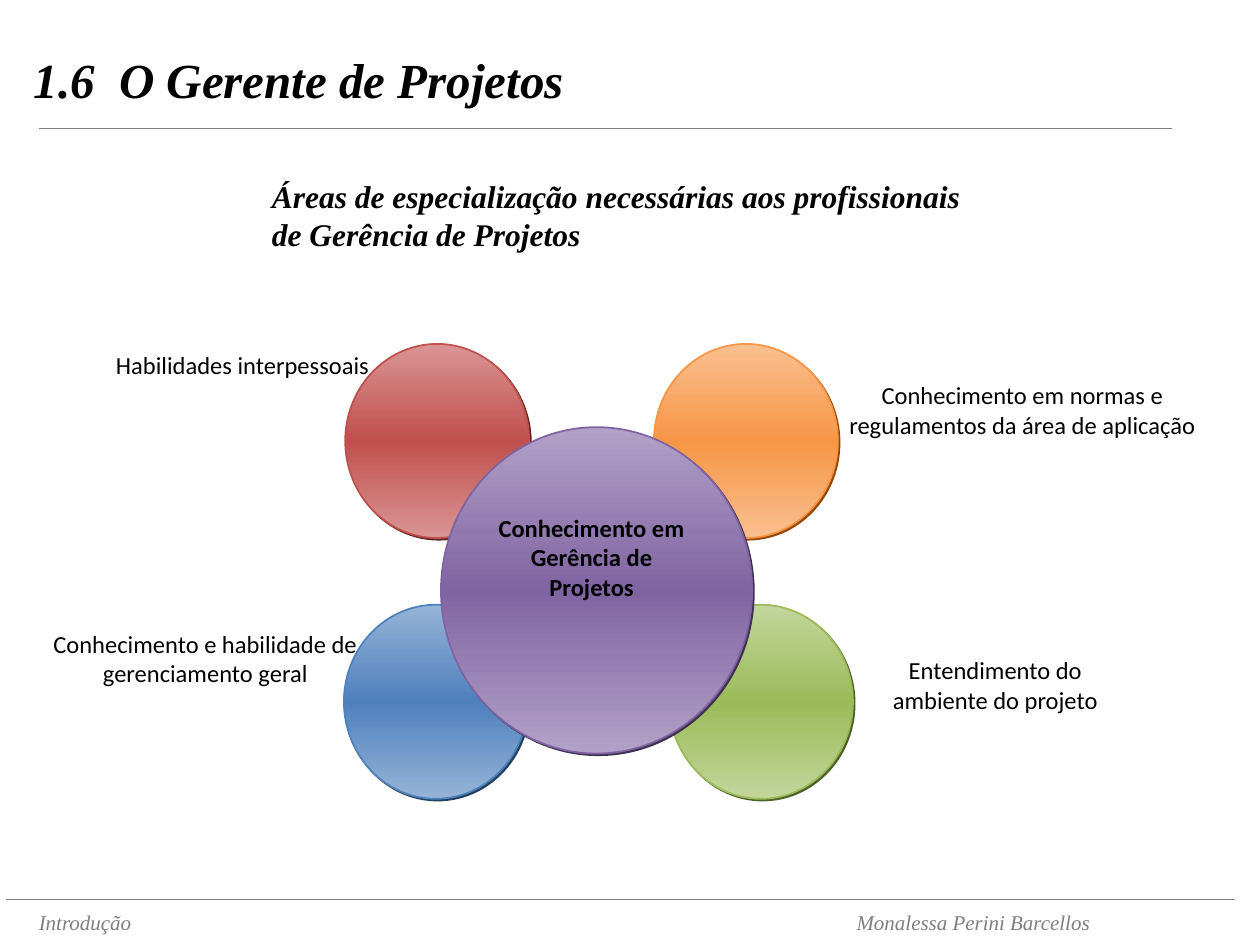
from copy import deepcopy

from lxml import etree
from pptx import Presentation
from pptx.dml.color import RGBColor
from pptx.enum import shapes, text
from pptx.oxml import ns
from pptx.util import Emu, Pt

THEME = dict(
    ink="000000", grey="7F7F7F", serif="Times New Roman", sans="Calibri",
    title=28, sub=18, label=14, foot=12,
    # edge, middle and shadow colour of each circle
    red=("D99594", "C0504D", "622423"),
    blue=("95B3D7", "4F81BD", "243F60"),
    green=("C2D69B", "9BBB59", "4E6128"),
    orange=("FABF8F", "F79646", "974706"),
    purple=("B2A1C7", "8064A2", "3F3151"),
)

deck = Presentation()
deck.slide_width, deck.slide_height = Emu(9144000), Emu(6858000)
# The grid has 100 columns and 75 rows.
COL, ROW = deck.slide_width / 100, deck.slide_height / 75
slide = deck.slides.add_slide(deck.slide_layouts[5])
items = slide.shapes


def grid(x, y, w, h):
    """Turn columns and rows into slide lengths."""
    return [Emu(round(n * step)) for n, step in zip((x, y, w, h), (COL, ROW) * 2)]


def write(box, words, size, face, color="ink", align=text.PP_ALIGN.LEFT, **style):
    """Fill a text shape with one paragraph for each line of words."""
    frame = box.text_frame
    frame.word_wrap = True
    frame.auto_size = text.MSO_AUTO_SIZE.NONE
    frame.text = words
    look = dict(size=Pt(THEME[size]), name=THEME[face], bold=False, italic=False) | style
    for para in frame.paragraphs:
        para.alignment = align
        for key, val in look.items():
            setattr(para.font, key, val)
        para.font.color.rgb = RGBColor.from_string(THEME[color])


# Title
title = items.title
title.left, title.top, title.width, title.height = grid(0, 0, 98.2, 12.5)
write(title, "1.6  O Gerente de Projetos", "title", "serif", bold=True, italic=True)
title.text_frame.margin_left = Emu(round(2.67 * COL))
title.text_frame.vertical_anchor = text.MSO_ANCHOR.MIDDLE

# Rules under the title and above the footer
for left, right, row, width in ((3.1, 93, 10.2, 1), (0.5, 98, 71.4, 0.75)):
    x, y, end, _ = grid(left, row, right, 0)
    rule = items.add_connector(shapes.MSO_CONNECTOR.STRAIGHT, x, y, end, y)
    rule.line.width = Pt(width)
    rule.line.color.rgb = RGBColor.from_string(THEME["grey"])
    etree.SubElement(rule._element.spPr, ns.qn("a:effectLst"))

# Footer
for left, words in ((2.1, "Introdução"), (67, "Monalessa Perini Barcellos")):
    write(items.add_textbox(*grid(left, 71.7, 24, 3)), words, "foot", "serif", "grey",
          italic=True)

# Subtitle
write(items.add_textbox(*grid(20.6, 13.6, 60, 7)),
      "Áreas de especialização necessárias aos profissionais\nde Gerência de Projetos",
      "sub", "serif", bold=True, italic=True)

# Circles: four areas, then the centre in front
small, big = (14.6, 15.4), (24.7, 25.9)
circles = (
    ("red", 27.4, 27.3, small), ("blue", 27.3, 48, small),
    ("green", 53.1, 48, small), ("orange", 51.9, 27.3, small),
    ("purple", 35, 33.9, big),
)
for name, x, y, size in circles:
    edge, core, dark = THEME[name]
    disc = items.add_shape(shapes.MSO_SHAPE.OVAL, *grid(x, y, *size))
    disc.fill.gradient()
    disc.fill.gradient_angle = 90
    first = disc._element.spPr.find(".//" + ns.qn("a:gs"))
    first.addnext(deepcopy(first))
    for stop, color, pos in zip(disc.fill.gradient_stops, (edge, core, edge), (0, 0.5, 1)):
        stop.color.rgb = RGBColor.from_string(color)
        stop.position = pos
    disc.line.width = Pt(1)
    disc.line.color.rgb = RGBColor.from_string(core)
    disc.shadow.inherit = False
    glow = disc._element.spPr.find(ns.qn("a:effectLst"))
    cast = etree.SubElement(glow, ns.qn("a:outerShdw"), dist=str(Pt(1.4)),
                            dir="2700000", algn="ctr", rotWithShape="0")
    etree.SubElement(cast, ns.qn("a:srgbClr"), val=dark)

# Labels
labels = (
    ("Habilidades interpessoais", (8, 27.3, 22.5, 10.2), False),
    ("Conhecimento em normas e regulamentos da área de aplicação",
     (63.8, 29.7, 34.7, 13.1), False),
    ("Conhecimento e habilidade de gerenciamento geral", (2.6, 49.4, 27.4, 14), False),
    ("Entendimento do ambiente do projeto", (67.8, 51.5, 22.4, 11.8), False),
    ("Conhecimento em Gerência de Projetos", (38, 40.2, 17.9, 13.2), True),
)
for words, place, bold in labels:
    write(items.add_textbox(*grid(*place)), words, "label", "sans",
          align=text.PP_ALIGN.CENTER, bold=bold)

deck.save("out.pptx")
